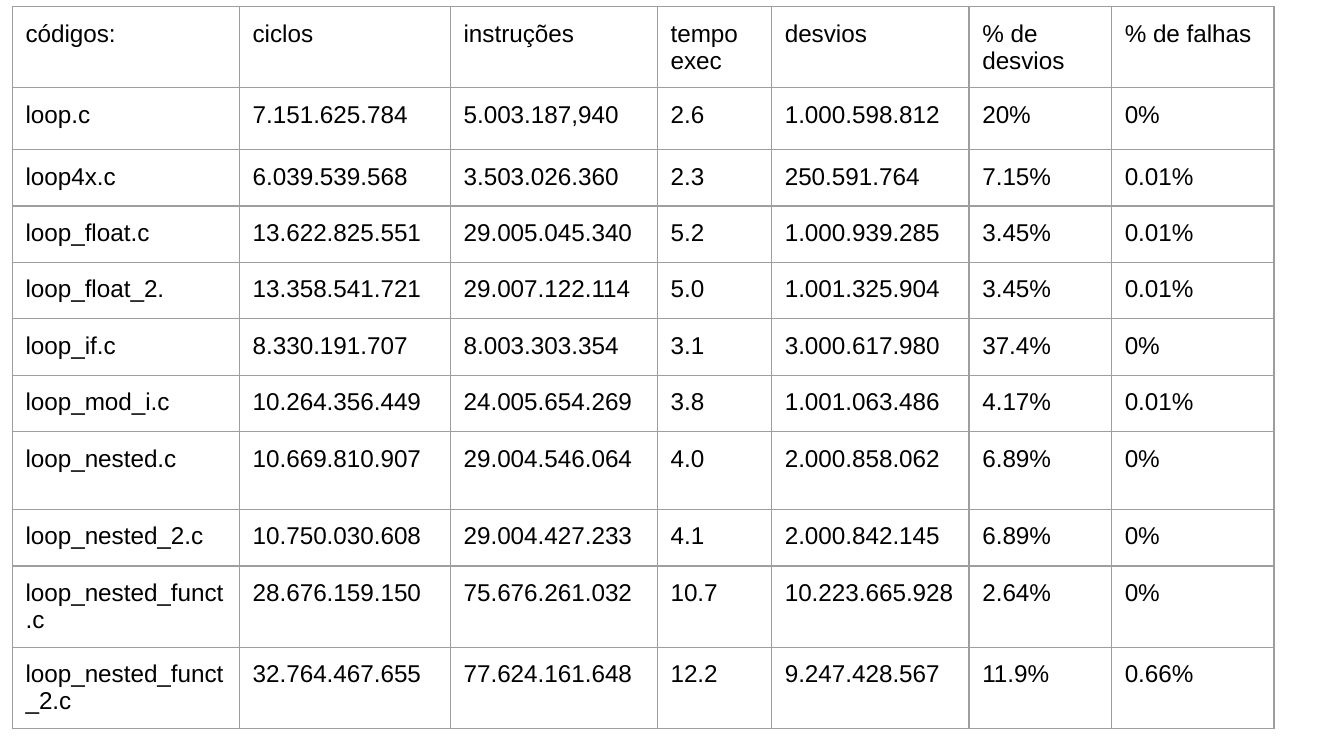
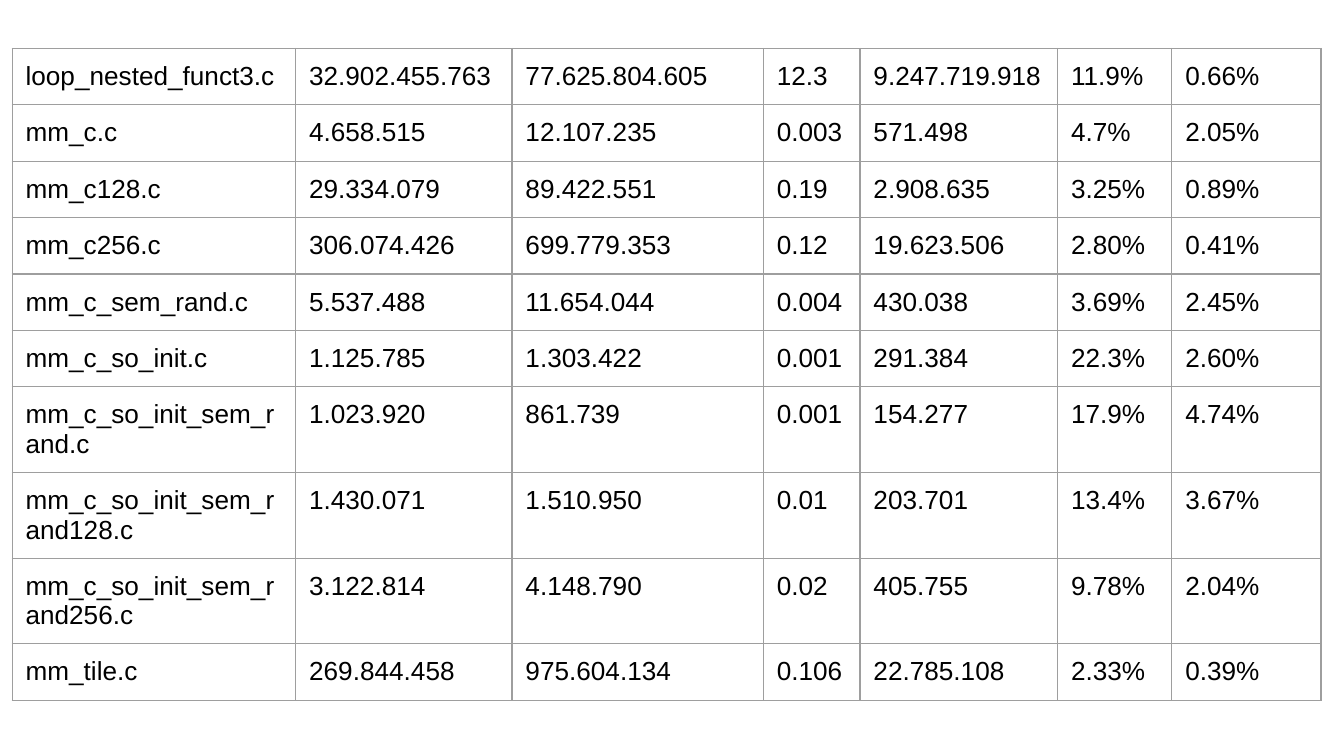
from lxml.etree import SubElement
from pptx import Presentation
from pptx.dml.color import RGBColor
from pptx.oxml.ns import qn
from pptx.util import Inches, Pt

HEADINGS = ["códigos:", "ciclos", "instruções", "tempo exec", "desvios", "% de desvios", "% de falhas"]

LOOP_RESULTS = """
loop.c 7.151.625.784 5.003.187,940 2.6 1.000.598.812 20% 0%
loop4x.c 6.039.539.568 3.503.026.360 2.3 250.591.764 7.15% 0.01%
loop_float.c 13.622.825.551 29.005.045.340 5.2 1.000.939.285 3.45% 0.01%
loop_float_2. 13.358.541.721 29.007.122.114 5.0 1.001.325.904 3.45% 0.01%
loop_if.c 8.330.191.707 8.003.303.354 3.1 3.000.617.980 37.4% 0%
loop_mod_i.c 10.264.356.449 24.005.654.269 3.8 1.001.063.486 4.17% 0.01%
loop_nested.c 10.669.810.907 29.004.546.064 4.0 2.000.858.062 6.89% 0%
loop_nested_2.c 10.750.030.608 29.004.427.233 4.1 2.000.842.145 6.89% 0%
loop_nested_funct.c 28.676.159.150 75.676.261.032 10.7 10.223.665.928 2.64% 0%
loop_nested_funct_2.c 32.764.467.655 77.624.161.648 12.2 9.247.428.567 11.9% 0.66%
"""

MATRIX_RESULTS = """
loop_nested_funct3.c 32.902.455.763 77.625.804.605 12.3 9.247.719.918 11.9% 0.66%
mm_c.c 4.658.515 12.107.235 0.003 571.498 4.7% 2.05%
mm_c128.c 29.334.079 89.422.551 0.19 2.908.635 3.25% 0.89%
mm_c256.c 306.074.426 699.779.353 0.12 19.623.506 2.80% 0.41%
mm_c_sem_rand.c 5.537.488 11.654.044 0.004 430.038 3.69% 2.45%
mm_c_so_init.c 1.125.785 1.303.422 0.001 291.384 22.3% 2.60%
mm_c_so_init_sem_rand.c 1.023.920 861.739 0.001 154.277 17.9% 4.74%
mm_c_so_init_sem_rand128.c 1.430.071 1.510.950 0.01 203.701 13.4% 3.67%
mm_c_so_init_sem_rand256.c 3.122.814 4.148.790 0.02 405.755 9.78% 2.04%
mm_tile.c 269.844.458 975.604.134 0.106 22.785.108 2.33% 0.39%
"""


def color(value):
    """Turn a hex string into a colour."""
    return RGBColor.from_string(value)


def records(block):
    """Split a block of results into rows of values."""
    return [line.split() for line in block.strip().splitlines()]


class ResultDeck:
    """Hold the shared style and the current slide."""

    font = "Arial"
    ink = "000000"
    paper = "FFFFFF"
    rule = "9E9E9E"
    rule_width = Pt(0.75)
    margin = Inches(0.1)
    left = 0.09
    row_height = 0.42

    def __init__(self):
        """Start an empty widescreen deck."""
        self.deck = Presentation()
        self.deck.slide_width = Inches(10)
        self.deck.slide_height = Inches(10) * 9 // 16
        self.page = None

    def add_page(self):
        """Add a blank page and make it current."""
        self.page = self.deck.slides.add_slide(self.deck.slide_layouts[6])
        fill = self.page.background.fill
        fill.solid()
        fill.fore_color.rgb = color(self.paper)

    def add_table(self, top, widths, rows, size, tall_rows=None):
        """Add a ruled table with default row heights except the tall ones."""
        heights = [(tall_rows or {}).get(index, self.row_height) for index in range(len(rows))]
        frame = self.page.shapes.add_table(
            len(rows), len(widths), Inches(self.left), Inches(top), Inches(sum(widths)), Inches(sum(heights))
        )
        table = frame.table
        table.first_row = False
        table.horz_banding = False
        for column, width in zip(table.columns, widths):
            column.width = Inches(width)
        for row, height, values in zip(table.rows, heights, rows):
            row.height = Inches(height)
            for cell, value in zip(row.cells, values):
                self.fill_cell(cell, value, size)

    def fill_cell(self, cell, value, size):
        """Write one value in a cell and style it."""
        cell.margin_left = cell.margin_right = self.margin
        cell.margin_top = cell.margin_bottom = self.margin
        self.add_borders(cell)
        cell.fill.background()
        cell.text_frame.text = value
        span = cell.text_frame.paragraphs[0].runs[0]
        span.font.name = self.font
        span.font.size = Pt(size)
        span.font.color.rgb = color(self.ink)

    def add_borders(self, cell):
        """Draw the four borders of a cell."""
        properties = cell._tc.get_or_add_tcPr()
        for side in ("a:lnL", "a:lnR", "a:lnT", "a:lnB"):
            line = SubElement(properties, qn(side), w=str(self.rule_width))
            solid = SubElement(line, qn("a:solidFill"))
            SubElement(solid, qn("a:srgbClr"), val=self.rule)


results = ResultDeck()

results.add_page()
results.add_table(
    top=0.05,
    widths=[1.69, 1.57, 1.54, 0.85, 1.47, 1.06, 1.21],
    rows=[HEADINGS] + records(LOOP_RESULTS),
    size=13,
    tall_rows={0: 0.6, 1: 0.46, 7: 0.58, 10: 0.57},
)

results.add_page()
results.add_table(
    top=0.36,
    widths=[2.11, 1.61, 1.87, 0.72, 1.47, 0.85, 1.11],
    rows=records(MATRIX_RESULTS),
    size=14,
)

results.deck.save("out.pptx")
